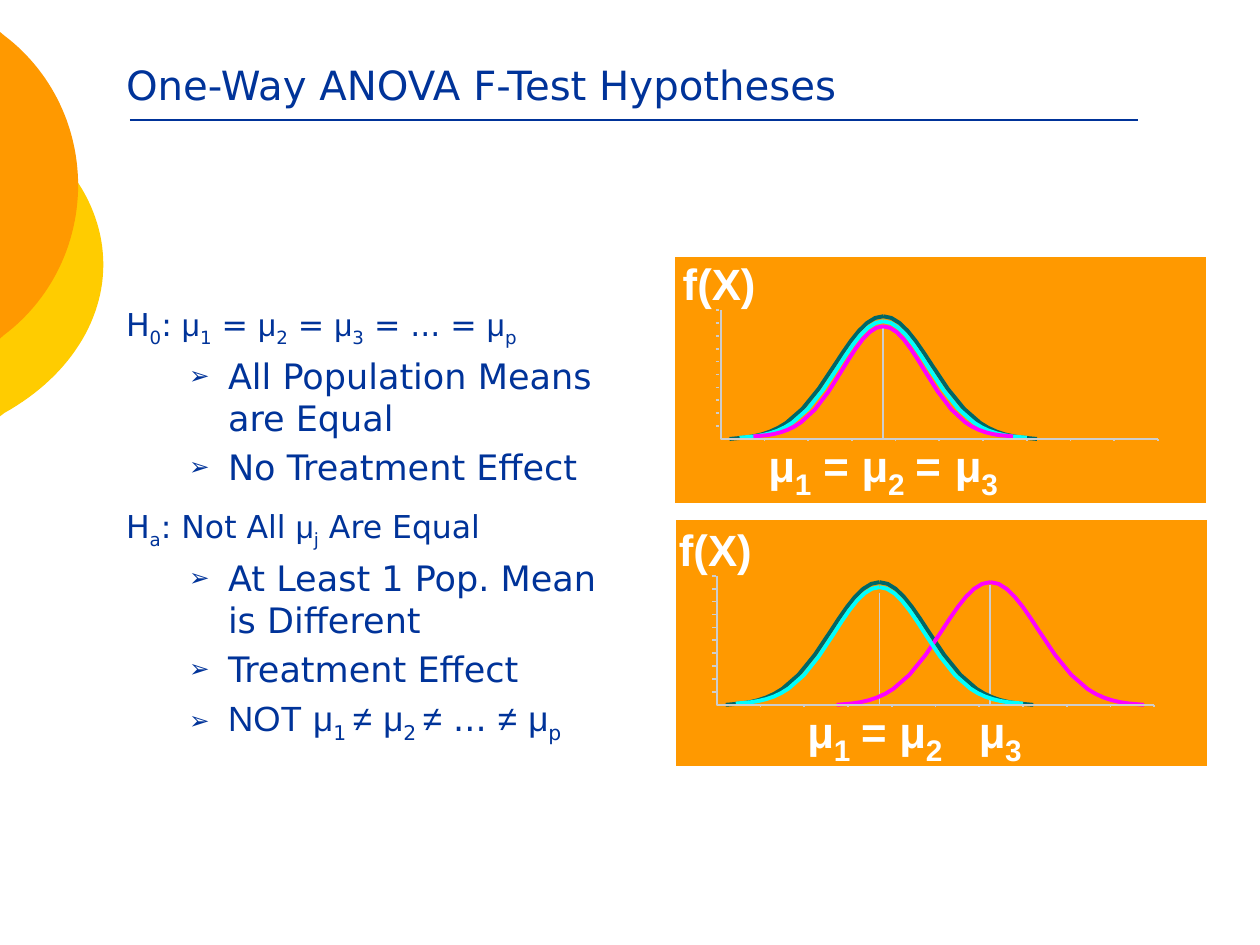
from dataclasses import dataclass
from itertools import groupby
from math import cos, exp, pi, sin

from lxml.etree import SubElement
from pptx import Presentation
from pptx.dml.color import RGBColor as RGB
from pptx.enum.shapes import MSO_CONNECTOR as Link, MSO_SHAPE as Shape
from pptx.enum.text import MSO_ANCHOR as Anchor, MSO_AUTO_SIZE as Fit, PP_ALIGN as Align
from pptx.oxml.ns import qn
from pptx.util import Inches, Pt


@dataclass(frozen=True)
class Theme:
    navy: str = "003399"
    orange: str = "FF9900"
    yellow: str = "FFCC00"
    white: str = "FFFFFF"
    gray: str = "CDCDCD"
    teal: str = "006666"
    cyan: str = "00FFFF"
    magenta: str = "FF00FF"
    latin: str = "DejaVu Sans"
    math: str = "Arial"
    title: int = 23
    item: int = 18
    subitem: int = 20
    symbol: int = 25
    index: int = 17
    thin: float = 1
    thick: float = 2.25


CELL = Inches(0.1)
GREEK = "ΝΟΤμ≠"
STEPS = (19, 17, 16, 15, 14, 13, 12, 10, 8, 6, 5, 4, 3, 2, 1, 0)
SIGMA = 6


def grid(*cells):
    return [round(c * CELL) for c in cells]


def apply(obj, **values):
    for name, value in values.items():
        setattr(obj, name, value)


class Deck:
    def __init__(self, theme):
        self.theme = theme
        self.prs = Presentation()
        apply(self.prs, slide_width=100 * CELL, slide_height=75 * CELL)
        self.s = self.prs.slides.add_slide(self.prs.slide_layouts[1])

    def place(self, sp, *box):
        apply(sp, **dict(zip(("left", "top", "width", "height"), grid(*box))))

    def run(self, p, text, size, color, font, bold=False):
        r = p.add_run()
        r.text = text
        apply(r.font, size=Pt(size), name=font, bold=bold)
        r.font.color.rgb = RGB.from_string(color)
        return r

    def stroke(self, line, color, width):
        line.color.rgb = RGB.from_string(color)
        line.width = Pt(width)

    def paint(self, sp, color):
        sp.shadow.inherit = False
        sp.fill.solid()
        sp.fill.fore_color.rgb = RGB.from_string(color)

    def title(self, text, *box):
        sp = self.s.shapes.title
        self.place(sp, *box)
        apply(sp.text_frame, vertical_anchor=Anchor.BOTTOM, auto_size=Fit.NONE, word_wrap=True)
        p = sp.text_frame.paragraphs[0]
        p.alignment = Align.LEFT
        self.run(p, text, self.theme.title, self.theme.navy, self.theme.latin)

    def bullet(self, pPr, level):
        left, hang = ((3.8, 3.8), (8.1, 3.1))[level]
        pPr.set("marL", str(round(left * CELL)))
        pPr.set("indent", str(round(-hang * CELL)))
        if not level:
            SubElement(pPr, qn("a:buNone"))
            return
        color = SubElement(pPr, qn("a:buClr"))
        SubElement(color, qn("a:srgbClr"), val=self.theme.navy)
        SubElement(pPr, qn("a:buSzPct"), val="70000")
        SubElement(pPr, qn("a:buChar"), char="➢")

    def body(self, items, *box):
        t = self.theme
        sp = self.s.placeholders[1]
        self.place(sp, *box)
        tf = sp.text_frame
        apply(tf, auto_size=Fit.NONE, word_wrap=True, vertical_anchor=Anchor.TOP)
        for i, (level, gap, text) in enumerate(items):
            p = tf.paragraphs[0] if i == 0 else tf.add_paragraph()
            apply(p, level=level, space_before=Pt(gap), alignment=Align.LEFT)
            self.bullet(p._p.get_or_add_pPr(), level)
            for n, piece in enumerate(text.split("|")):
                for greek, chars in groupby(piece, lambda c: c in GREEK):
                    r = self.run(p, "".join(chars), (t.item, t.subitem)[level],
                                 t.navy, t.math if greek else t.latin)
                    if n % 2:
                        r.font._element.set("baseline", "-25000")

    def rect(self, color, border, *box):
        sp = self.s.shapes.add_shape(Shape.RECTANGLE, *grid(*box))
        self.paint(sp, color)
        self.stroke(sp.line, border, self.theme.thin)

    def line(self, color, *ends):
        c = self.s.shapes.add_connector(Link.STRAIGHT, *grid(*ends))
        SubElement(c._element.spPr, qn("a:effectLst"))
        self.stroke(c.line, color, self.theme.thin)

    def outline(self, points, close=False):
        first, *rest = [grid(*point) for point in points]
        fb = self.s.shapes.build_freeform(*first)
        fb.add_line_segments(rest, close=close)
        sp = fb.convert_to_shape()
        sp.shadow.inherit = False
        return sp

    def polyline(self, points, color, width):
        sp = self.outline(points)
        sp.fill.background()
        self.stroke(sp.line, color, width)

    def edge_arc(self, color, right, middle, rx, ry, turn=0.97, count=60):
        angles = [turn * (2 * k / count - 1) for k in range(count + 1)]
        points = [(max(0, right - rx + rx * cos(a)), middle + ry * sin(a)) for a in angles]
        sp = self.outline(points, close=True)
        self.paint(sp, color)
        sp.line.fill.background()

    def label(self, text, size, *box):
        tf = self.s.shapes.add_textbox(*grid(*box)).text_frame
        apply(tf, word_wrap=False, auto_size=Fit.SHAPE_TO_FIT_TEXT)
        self.run(tf.paragraphs[0], text, size, self.theme.white, self.theme.math, True)

    def bell(self, color, peak, top, half, height):
        for side in (1, -1):
            points = [(peak + side * half * k / STEPS[0],
                       top + height * (1 - exp(-(k / SIGMA) ** 2 / 2))) for k in STEPS]
            self.polyline(points, color, self.theme.thick)

    def axes(self, x, y, width=34.7, height=10.25, ticks=10):
        gray, base = self.theme.gray, y + height
        self.polyline([(x, y), (x, base), (x + width, base)], gray, self.theme.thin)
        for k in range(ticks):
            tick_y = y + k * height / ticks
            tick_x = x + width - k * width / ticks
            self.line(gray, x - 0.4, tick_y, x - 0.1, tick_y)
            self.line(gray, tick_x, base, tick_x, base + 0.15)

    def panel(self, corner, origin, bells, means, means_x, equals_x):
        t, (x, y) = self.theme, origin
        self.rect(t.orange, t.white, *corner, 42.3, 19.7)
        for peak, top in means:
            self.line(t.gray, x + peak, y + top, x + peak, y + 10.2)
        for color, peak, top, half, height in bells:
            self.bell(color, x + peak, y + top, half, height)
        self.axes(x, y)
        self.label("f(X)", t.symbol, x - 4, y - 4.7, 7.8, 5.1)
        for n, left in enumerate(means_x, 1):
            self.label("μ", t.symbol, x + left, y + 9.75, 4, 5.1)
            self.label(str(n), t.index, x + left + 2.1, y + 11.9, 3.3, 3.8)
        for left in equals_x:
            self.label(" =", t.symbol, x + left, y + 9.75, 6, 5.1)


def main():
    t = Theme()
    deck = Deck(t)
    deck.edge_arc(t.yellow, 8.2, 21, 19.2, 14.6)
    deck.edge_arc(t.orange, 6.2, 14.7, 14.4, 14.75)
    deck.line(t.navy, 10.3, 9.5, 90.3, 9.5)
    deck.title("One-Way ANOVA F-Test Hypotheses", 9, 1.3, 84.3, 7.8)
    deck.body([
        (0, 0, "H|0|: μ|1| = μ|2| = μ|3| = ... = μ|p|"),
        (1, 4, "All Population Means are Equal"),
        (1, 4, "No Treatment Effect"),
        (0, 10.8, "H|a|: Not All μ|j| Are Equal"),
        (1, 4, "At Least 1 Pop. Mean is Different"),
        (1, 4, "Treatment Effect"),
        (1, 4, "ΝΟΤ μ|1 |≠ μ|2 |≠ ... ≠ μ|p|"),
    ], 9, 23.7, 40.6, 40.1)
    teal = (t.teal, 12.9, 0.5, 12.2, 9.8)
    cyan = (t.cyan, 12.9, 0.9, 11.4, 9.3)
    deck.panel((53.5, 20.3), (57.2, 24.6),
               [teal, cyan, (t.magenta, 12.9, 1.3, 10.3, 8.8)],
               [(12.9, 1.4)], (2.8, 10.2, 17.6), (6.2, 13.5))
    deck.panel((53.6, 41.2), (56.9, 45.7),
               [teal, (t.magenta, 21.7, 0.5, 12.2, 9.8), cyan],
               [(21.7, 0.7), (12.9, 1.4)], (6.2, 13.5, 19.8), (9.5,))
    deck.prs.save("out.pptx")


if __name__ == "__main__":
    main()
